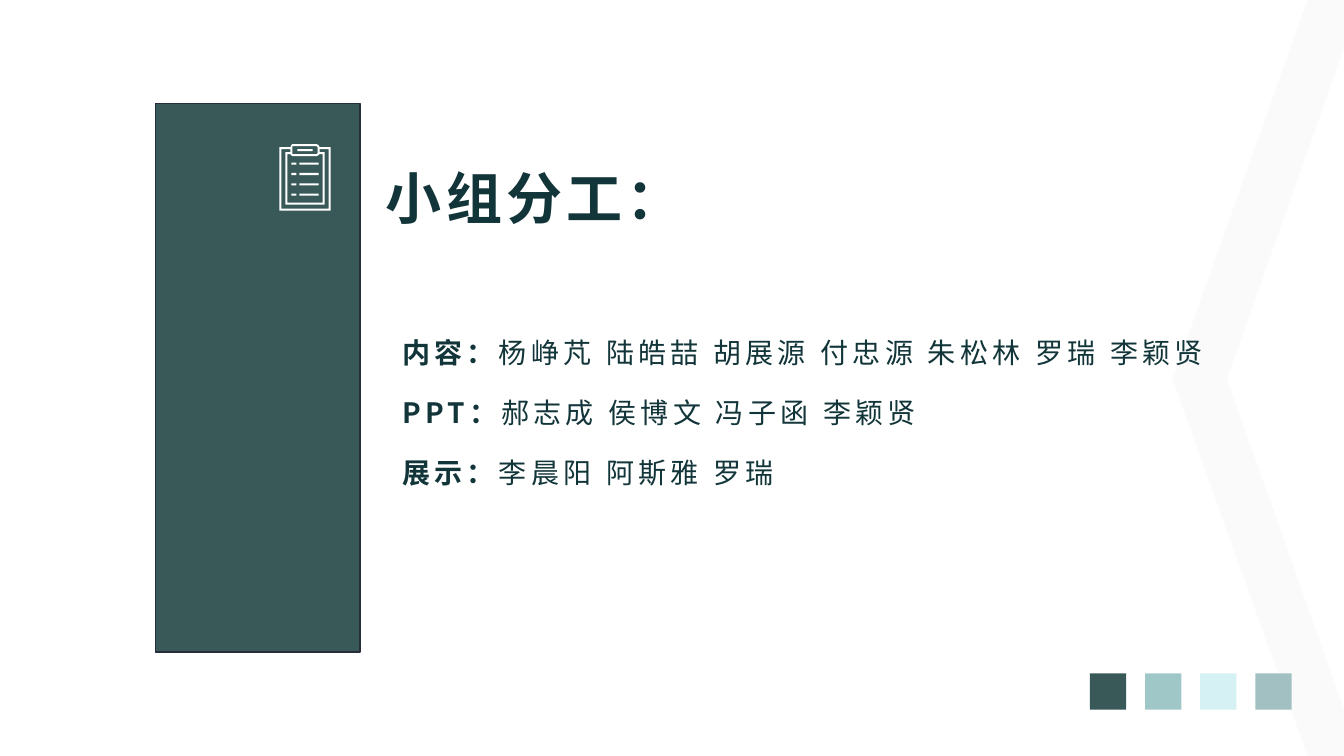
from lxml.etree import SubElement
from pptx import Presentation
from pptx.dml.color import RGBColor
from pptx.enum.shapes import MSO_SHAPE
from pptx.enum.text import MSO_ANCHOR
from pptx.oxml.ns import qn
from pptx.util import Inches, Pt

FONT = "Noto Sans CJK SC"
COLORS = {
    "ink": "123539", "deep": "395959", "edge": "262E3B", "teal": "A0C7C8",
    "ice": "D6F1F3", "mist": "A2BFC1", "pale": "D1D7E1", "white": "FFFFFF",
}


def write(text, para, size=20, bold=False, color="ink"):
    run = para.add_run()
    run.text = text
    run.font.name = FONT
    run.font.size = Pt(size)
    run.font.bold = bold
    run.font.color.rgb = RGBColor.from_string(COLORS[color])
    props = run._r.get_or_add_rPr()
    props.set("spc", "300")
    SubElement(props, qn("a:ea"), typeface=FONT)


def paint(shape, color):
    shape.shadow.inherit = False
    shape.fill.solid()
    shape.fill.fore_color.rgb = RGBColor.from_string(COLORS[color])
    shape.line.fill.background()


deck = Presentation()
deck.slide_width = Inches(13.33)
deck.slide_height = Inches(7.5)
slide = deck.slides.add_slide(deck.slide_layouts[6])
shapes = slide.shapes

title = shapes.add_textbox(Inches(3.73), Inches(1.57), Inches(8.13), Inches(0.77))
title.text_frame.word_wrap = True
title.text_frame.vertical_anchor = MSO_ANCHOR.MIDDLE
write("小组分工：", title.text_frame.paragraphs[0], size=40, bold=True)

chevron = [(13.33, 0), (12.97, 0), (11.63, 3.76), (12.97, 7.5),
           (13.33, 7.5), (13.33, 7.04), (12.17, 3.76), (13.33, 0.48)]
points = [(Inches(x), Inches(y)) for x, y in chevron]
pen = shapes.build_freeform(*points[0])
pen.add_line_segments(points[1:])
band = pen.convert_to_shape()
paint(band, "pale")
tint = band.fill._xPr.find(qn("a:solidFill"))[0]
SubElement(tint, qn("a:alpha"), val="10000")

panel = shapes.add_shape(MSO_SHAPE.RECTANGLE, Inches(1.54), Inches(1.03),
                         Inches(2.03), Inches(5.44))
paint(panel, "deep")
panel.line.color.rgb = RGBColor.from_string(COLORS["edge"])
panel.line.width = Pt(1)

for i, color in enumerate(["deep", "teal", "ice", "mist"]):
    square = shapes.add_shape(MSO_SHAPE.RECTANGLE, Inches(10.81 + 0.547 * i),
                              Inches(6.68), Inches(0.36), Inches(0.36))
    paint(square, color)

board = [
    [(2.77, 1.46), (2.88, 1.46), (2.89, 1.44), (2.9, 1.43), (3.14, 1.43),
     (3.16, 1.44), (3.17, 1.46), (3.28, 1.46), (3.28, 2.09), (2.77, 2.09)],
    [(2.79, 1.48), (2.79, 2.07), (3.26, 2.07), (3.26, 1.48), (3.17, 1.48),
     (3.17, 1.51), (3.22, 1.51), (3.22, 2.03), (2.83, 2.03), (2.83, 1.51),
     (2.88, 1.51), (2.88, 1.48)],
    [(2.85, 1.53), (2.85, 2.01), (3.2, 2.01), (3.2, 1.53), (3.17, 1.53),
     (3.16, 1.54), (3.14, 1.55), (2.9, 1.55), (2.89, 1.54), (2.88, 1.53)],
    [(2.9, 1.45), (2.9, 1.53), (3.14, 1.53), (3.15, 1.52), (3.15, 1.46),
     (3.14, 1.45)],
]
bars = [(2.95, 3.1, 1.48)]
for row in range(4):
    top = 1.615 + 0.102 * row
    bars += [(2.89, 2.94, top), (2.97, 3.16, top)]
for left, right, top in bars:
    low = top + 0.02
    board.append([(left, top), (right, top), (right, low), (left, low)])

pen = None
for outline in board:
    points = [(Inches(x), Inches(y)) for x, y in outline]
    if pen is None:
        pen = shapes.build_freeform(*points[0])
    else:
        pen.move_to(*points[0])
    pen.add_line_segments(points[1:])
paint(pen.convert_to_shape(), "white")

roles = [
    ("内容：", "杨峥芃 陆皓喆 胡展源 付忠源 朱松林 罗瑞 李颖贤"),
    ("PPT：", "郝志成 侯博文 冯子函 李颖贤"),
    ("展示：", "李晨阳 阿斯雅 罗瑞"),
]
body = shapes.add_textbox(Inches(3.89), Inches(3.2), Inches(8.84), Inches(1.78))
frame = body.text_frame
frame.word_wrap = True
frame.vertical_anchor = MSO_ANCHOR.MIDDLE
for i, (role, names) in enumerate(roles):
    para = frame.add_paragraph() if i else frame.paragraphs[0]
    para.space_before = Pt(19 if i else 0)
    write(role, para, bold=True)
    write(names, para)

deck.save("out.pptx")
